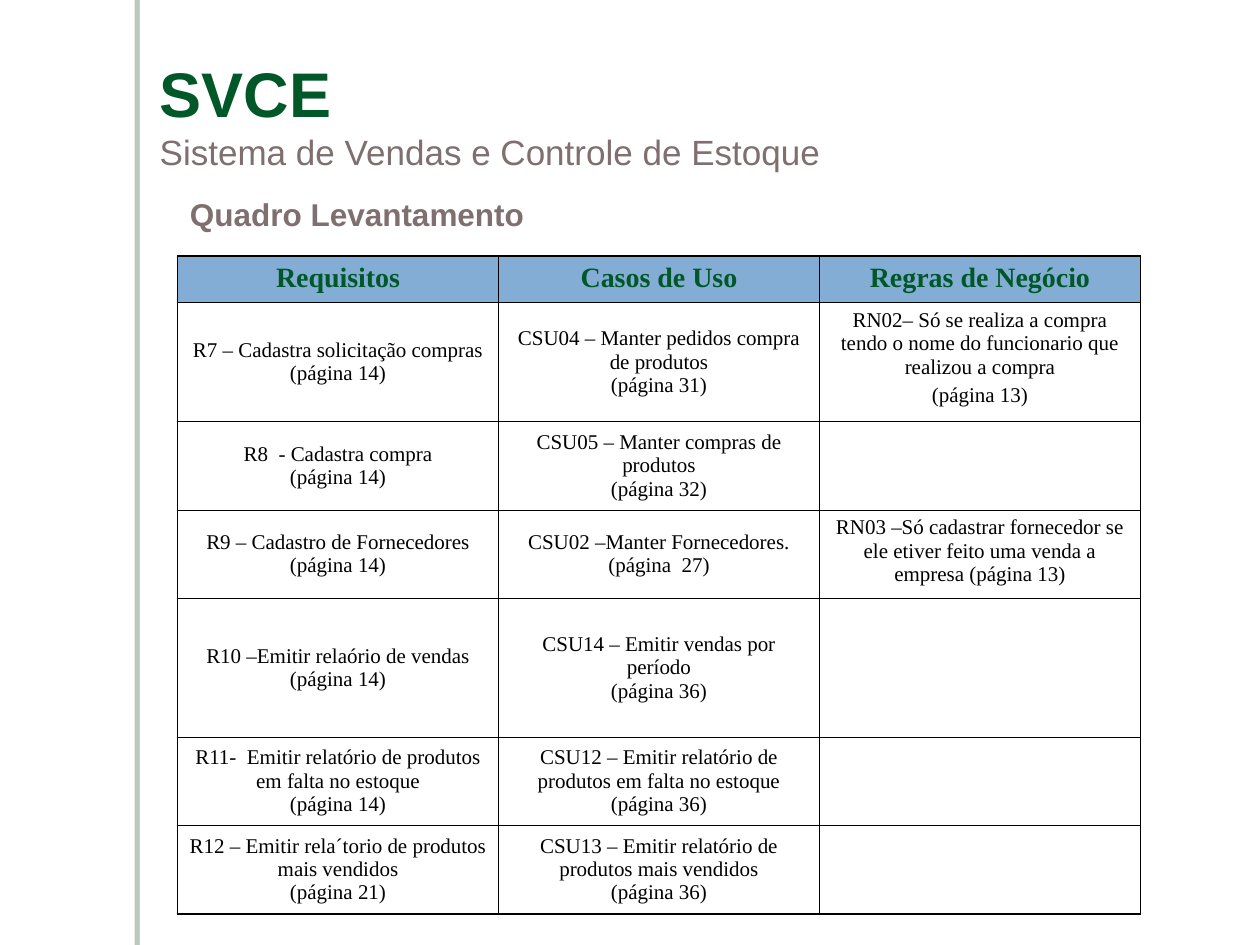
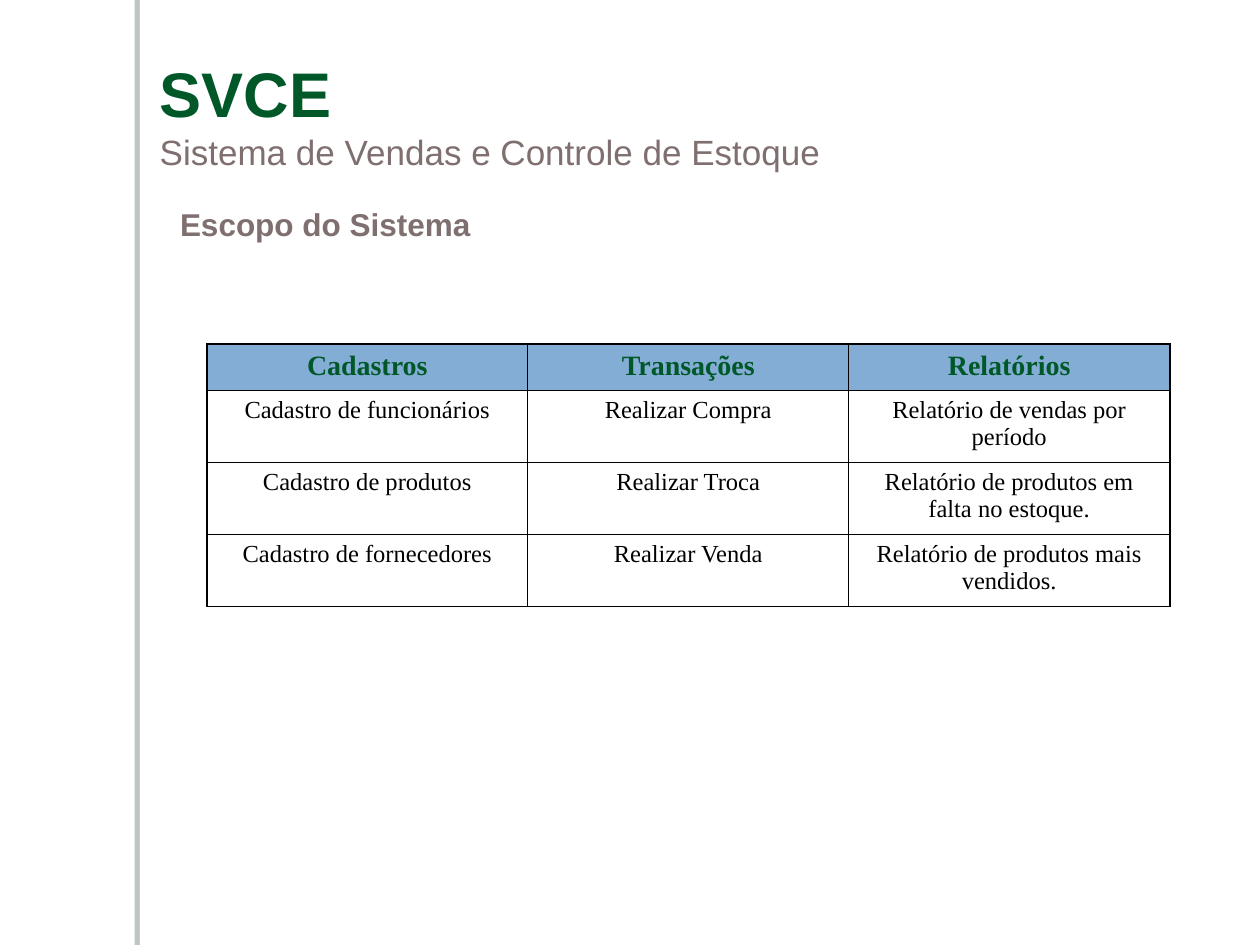
from lxml.etree import SubElement
from pptx import Presentation
from pptx.dml.color import RGBColor
from pptx.enum.shapes import MSO_SHAPE
from pptx.enum.text import MSO_ANCHOR, PP_ALIGN
from pptx.oxml import parse_xml
from pptx.oxml.ns import nsdecls, qn
from pptx.util import Cm, Pt

GREEN, GRAY, BLUE = "005828", "7F6F6F", "84ADD6"
BLACK, WHITE, SHADE = "000000", "FFFFFF", "00280D"
THICK, THIN = Pt(1.08), Pt(0.45)
COL = Cm(6.47)


def style(font, name, size, color, bold=False):
    font.name, font.size, font.bold = name, Pt(size), bold
    font.color.rgb = RGBColor.from_string(color)


def edge(cell, side, width):
    line = SubElement(cell._tc.get_or_add_tcPr(), qn("a:ln" + side), w=str(width))
    fill = SubElement(line, qn("a:solidFill"))
    SubElement(fill, qn("a:srgbClr"), val=BLACK)


# Content: heading, its place, and one table for each slide
pages = [
    dict(
        head="Quadro Levantamento", spot=(3.58, 3.81), place=(3.58, 5.16),
        size=12, middle=2, foot=THICK,
        tall=[0.94, 2.4, 1.78, 1.78, 2.8, 1.78, 1.78],
        rows=[
            ("Requisitos", "Casos de Uso", "Regras de Negócio"),
            ("R7 – Cadastra solicitação compras\n(página 14)",
             "CSU04 – Manter pedidos compra de produtos\n(página 31)",
             "RN02– Só se realiza a compra tendo o nome do funcionario que "
             "realizou a compra\n(página 13)"),
            ("R8  - Cadastra compra\n(página 14)",
             "CSU05 – Manter compras de produtos\n(página 32)", ""),
            ("R9 – Cadastro de Fornecedores\n(página 14)",
             "CSU02 –Manter Fornecedores.\n(página  27)",
             "RN03 –Só cadastrar fornecedor se ele etiver feito uma venda a "
             "empresa (página 13)"),
            ("R10 –Emitir relaório de vendas\n(página 14)",
             "CSU14 – Emitir vendas por período\n(página 36)", ""),
            ("R11-  Emitir relatório de produtos em falta no estoque\n(página 14)",
             "CSU12 – Emitir relatório de produtos em falta no estoque\n(página 36)", ""),
            ("R12 – Emitir rela´torio de produtos mais vendidos\n(página 21)",
             "CSU13 – Emitir relatório de produtos mais vendidos\n(página 36)", ""),
        ],
    ),
    dict(
        head="Escopo do Sistema", spot=(3.38, 4.01), place=(4.17, 6.93),
        size=14, middle=0, foot=THIN,
        tall=[0.94, 1.45, 1.45, 1.45],
        rows=[
            ("Cadastros", "Transações", "Relatórios"),
            ("Cadastro de funcionários", "Realizar Compra",
             "Relatório de vendas por período"),
            ("Cadastro de produtos", "Realizar Troca",
             "Relatório de produtos em falta no estoque."),
            ("Cadastro de fornecedores", "Realizar Venda",
             "Relatório de produtos mais vendidos."),
        ],
    ),
]

deck = Presentation()
deck.slide_width, deck.slide_height = Cm(25.4), Cm(19.05)

for page in pages:
    slide = deck.slides.add_slide(deck.slide_layouts[6])
    shapes = slide.shapes

    # White band whose shadow falls to the left
    band = shapes.add_shape(MSO_SHAPE.RECTANGLE, Cm(2.82), 0, Cm(0.2), deck.slide_height)
    band.fill.solid()
    band.fill.fore_color.rgb = RGBColor.from_string(WHITE)
    band.line.fill.background()
    band._element.spPr.append(parse_xml(
        f'<a:effectLst {nsdecls("a")}><a:outerShdw dist="38100" dir="10800000">'
        f'<a:srgbClr val="{SHADE}"><a:alpha val="25000"/></a:srgbClr>'
        '</a:outerShdw></a:effectLst>'))

    # Heading
    left, top = page["spot"]
    box = shapes.add_textbox(Cm(left), Cm(top), Cm(15.4), Cm(1.02))
    box.text_frame.word_wrap = True
    para = box.text_frame.paragraphs[0]
    para.text = page["head"]
    style(para.font, "Arial", 18, GRAY, True)

    # Table
    rows = page["rows"]
    left, top = page["place"]
    table = shapes.add_table(len(rows), 3, Cm(left), Cm(top), COL * 3,
                             Cm(sum(page["tall"]))).table
    table.horz_banding = False
    for col in table.columns:
        col.width = COL
    for r, row in enumerate(rows):
        table.rows[r].height = Cm(page["tall"][r])
        for c, text in enumerate(row):
            cell = table.cell(r, c)
            cell.text = text
            edge(cell, "L", THICK if c == 0 else THIN)
            edge(cell, "R", THICK if c == 2 else THIN)
            edge(cell, "T", THICK if r == 0 else THIN)
            edge(cell, "B", page["foot"] if r == len(rows) - 1 else THIN)
            centred = r > 0 and c < page["middle"]
            if centred:
                cell.vertical_anchor = MSO_ANCHOR.MIDDLE
            cell.margin_left = cell.margin_right = Cm(0.2 if centred else 0.25)
            if r == 0:
                cell.fill.solid()
                cell.fill.fore_color.rgb = RGBColor.from_string(BLUE)
            else:
                cell.fill.background()
            for para in cell.text_frame.paragraphs:
                para.alignment = PP_ALIGN.CENTER
                para.space_before = Pt(0 if centred else 3)
                if r == 0:
                    style(para.font, "Times New Roman", 16, GREEN, True)
                else:
                    style(para.font, "Times New Roman", page["size"], BLACK)

    # Title with the system name below
    box = shapes.add_textbox(Cm(2.97), Cm(0.98), Cm(20.95), Cm(2.5))
    box.text_frame.word_wrap = True
    para = box.text_frame.paragraphs[0]
    name = para.add_run()
    name.text = "SVCE"
    style(name.font, "Arial", 36, GREEN, True)
    para.add_line_break()
    full = para.add_run()
    full.text = "Sistema de Vendas e Controle de Estoque"
    style(full.font, "Arial", 20, GRAY)

deck.save("out.pptx")
